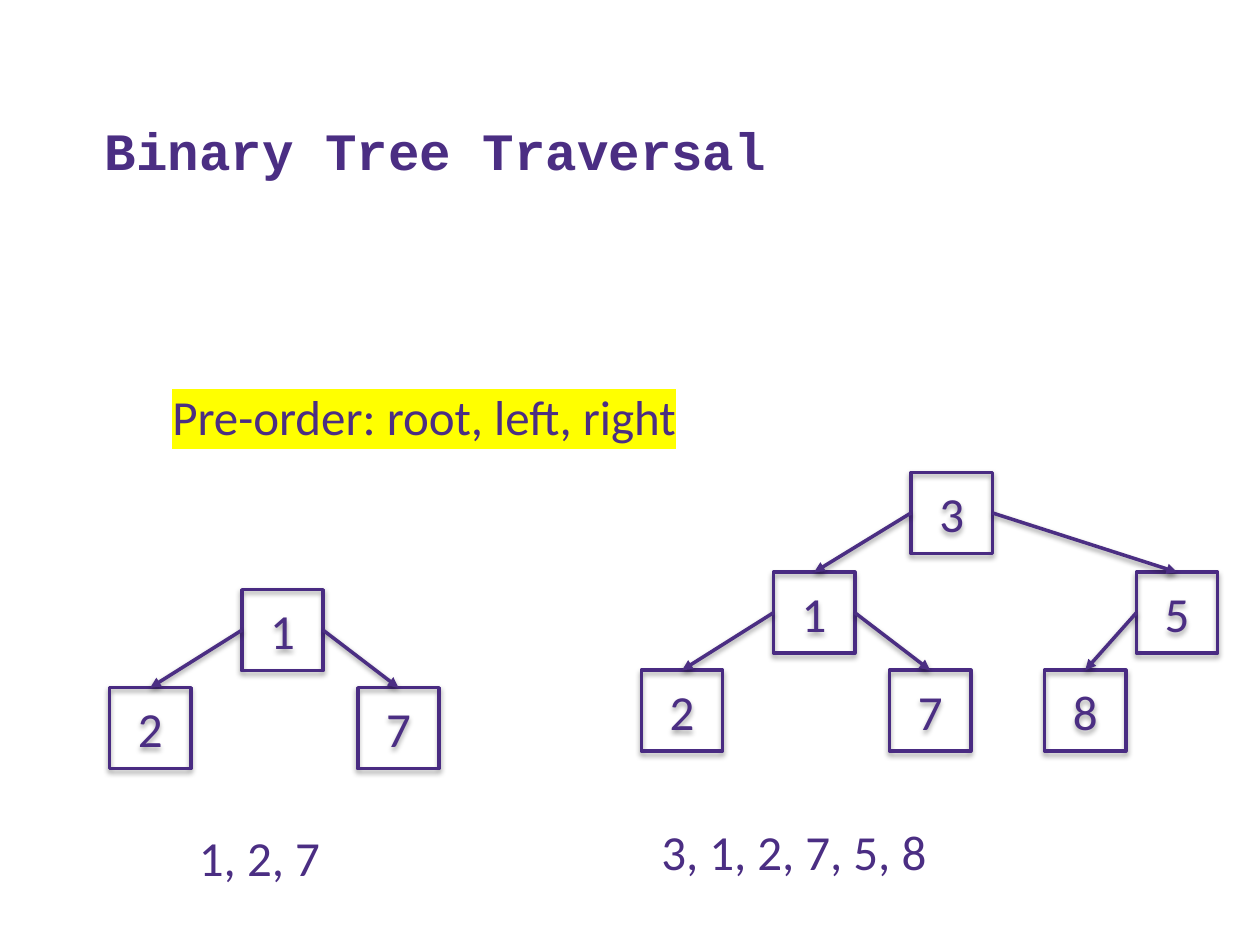
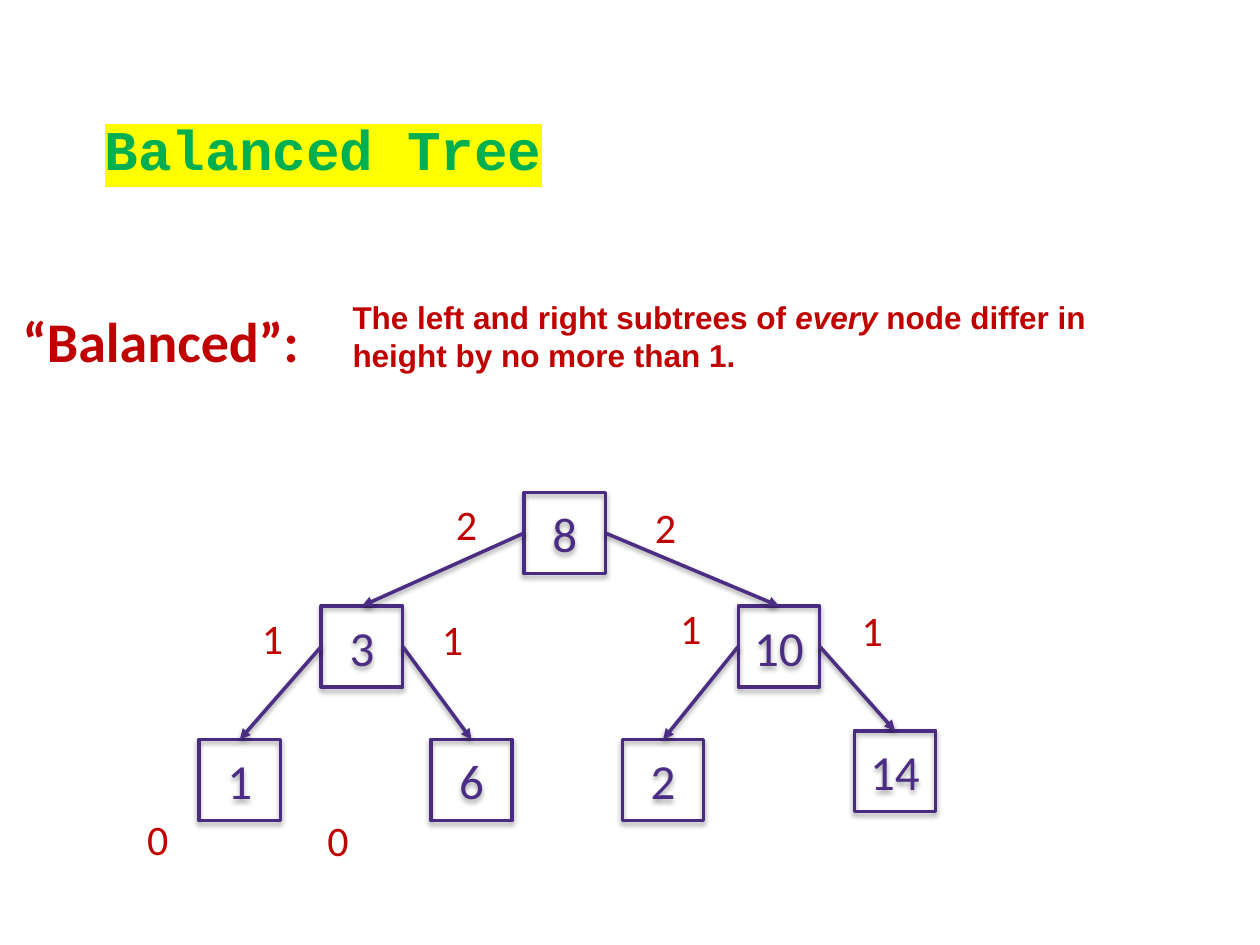
"""Build two slides on binary trees: pre-order traversal and balance."""
from lxml.etree import SubElement
from pptx import Presentation
from pptx.dml.color import RGBColor
from pptx.enum.shapes import MSO_CONNECTOR, MSO_SHAPE
from pptx.enum.text import MSO_ANCHOR, MSO_AUTO_SIZE, PP_ALIGN
from pptx.oxml.ns import qn
from pptx.util import Pt

COLORS = {"purple": "4B2E83", "box": "492B82", "red": "C00000",
          "green": "00B050", "yellow": "FFFF00", "black": "000000"}
NODE_W, NODE_H = 46.5, 46.25

TITLES = [
    ("Binary Tree Traversal", dict(size=30)),
    ("Balanced Tree", dict(size=32, color="green", highlight="yellow")),
]

# Each node: value, parent, left, top
TREES = [
    [
        [("3", None, 520.6, 270), ("1", "3", 442, 327), ("5", "3", 649.4, 327),
         ("8", "5", 596.9, 383), ("2", "1", 366.5, 383), ("7", "1", 508.3, 383)],
        [("1", None, 138.2, 337), ("2", "1", 62.6, 393), ("7", "1", 204.5, 393)],
    ],
    [
        [("8", None, 299.5, 281.5), ("3", "8", 183.6, 346.3), ("10", "8", 421.9, 346.3),
         ("14", "10", 488.2, 417.6), ("1", "3", 113.8, 422.6), ("6", "3", 246.2, 422.6),
         ("2", "10", 355.7, 422.6)],
    ],
]

height = dict(size=24, color="red")
LABELS = [
    [("Pre-order: root, left, right", 91.4, 217.4, 306, 41, dict(highlight="yellow")),
     ("1, 2, 7", 106.6, 469.4, 85, 41, {}),
     ("3, 1, 2, 7, 5, 8", 370.8, 465.8, 168.5, 41, {})],
    [("“Balanced”:", 5.8, 171.4, 188.6, 46, dict(size=32, color="red", bold=True))]
    + [(text, x, y, 26.6, 36, height) for text, x, y in [
        ("2", 253.4, 281.5), ("2", 367.2, 283), ("1", 142.6, 346.3), ("1", 245.5, 347),
        ("1", 381.6, 340.6), ("1", 485.3, 342), ("0", 77, 461.5), ("0", 180, 462.2)]],
]


def write(p, text, size=28, color="purple", font="Calibri", bold=False, italic=False,
          highlight=None):
    r = p.add_run()
    r.text = text
    r.font.size, r.font.bold, r.font.italic = Pt(size), bold, italic
    r.font.color.rgb = RGBColor.from_string(COLORS[color])
    if highlight:
        mark = SubElement(r.font._element, qn("a:highlight"))
        SubElement(mark, qn("a:srgbClr"), val=COLORS[highlight])
    r.font.name = font


def add_shadow(sp, alpha, dist):
    effects = sp._element.spPr.find(qn("a:effectLst"))
    if effects is None:
        effects = SubElement(sp._element.spPr, qn("a:effectLst"))
    shadow = SubElement(effects, qn("a:outerShdw"), blurRad=str(Pt(3.1)),
                        dist=str(Pt(dist)), dir="5400000", rotWithShape="0")
    color = SubElement(shadow, qn("a:srgbClr"), val=COLORS["black"])
    SubElement(color, qn("a:alpha"), val=str(alpha * 1000))


prs = Presentation()
prs.slide_width, prs.slide_height = Pt(720), Pt(540)

for (title, style), trees, labels in zip(TITLES, TREES, LABELS):
    s = prs.slides.add_slide(prs.slide_layouts[5])
    sp = s.shapes.title
    sp.left, sp.top, sp.width, sp.height = Pt(52.6), Pt(29.5), Pt(644.4), Pt(77.8)
    tf = sp.text_frame
    tf.auto_size = MSO_AUTO_SIZE.NONE
    tf.vertical_anchor = MSO_ANCHOR.BOTTOM
    tf.paragraphs[0].alignment = PP_ALIGN.LEFT
    write(tf.paragraphs[0], title, font="Courier New", bold=True, **style)

    for tree in trees:
        nodes = {}
        for value, parent, x, y in tree:
            sp = s.shapes.add_shape(MSO_SHAPE.RECTANGLE, Pt(x), Pt(y), Pt(NODE_W), Pt(NODE_H))
            sp.fill.background()
            sp.line.color.rgb = RGBColor.from_string(COLORS["box"])
            sp.line.width = Pt(2)
            sp.shadow.inherit = False
            add_shadow(sp, 35, 1.8)
            tf = sp.text_frame
            tf.vertical_anchor = MSO_ANCHOR.MIDDLE
            tf.paragraphs[0].alignment = PP_ALIGN.CENTER
            write(tf.paragraphs[0], value)
            nodes[value] = sp
            if parent:
                top = nodes[parent]
                cxn = s.shapes.add_connector(MSO_CONNECTOR.STRAIGHT, 0, 0, 0, 0)
                cxn.begin_connect(top, 1 if sp.left < top.left else 3)
                cxn.end_connect(sp, 0)
                cxn.line.color.rgb = RGBColor.from_string(COLORS["purple"])
                cxn.line.width = Pt(2)
                SubElement(cxn.line._get_or_add_ln(), qn("a:tailEnd"), type="triangle")
                add_shadow(cxn, 38, 1.6)

    for text, x, y, w, h, style in labels:
        tf = s.shapes.add_textbox(Pt(x), Pt(y), Pt(w), Pt(h)).text_frame
        tf.word_wrap = False
        tf.auto_size = MSO_AUTO_SIZE.SHAPE_TO_FIT_TEXT
        write(tf.paragraphs[0], text, **style)

tf = s.shapes.add_textbox(Pt(194.4), Pt(167), Pt(482.4), Pt(51)).text_frame
tf.word_wrap = True
tf.auto_size = MSO_AUTO_SIZE.SHAPE_TO_FIT_TEXT
for text, italic in [("The left and right subtrees of ", False), ("every", True),
                     (" node differ in height by no more than 1.", False)]:
    write(tf.paragraphs[0], text, size=18, color="red", font="Arial", bold=True, italic=italic)

prs.save("out.pptx")
